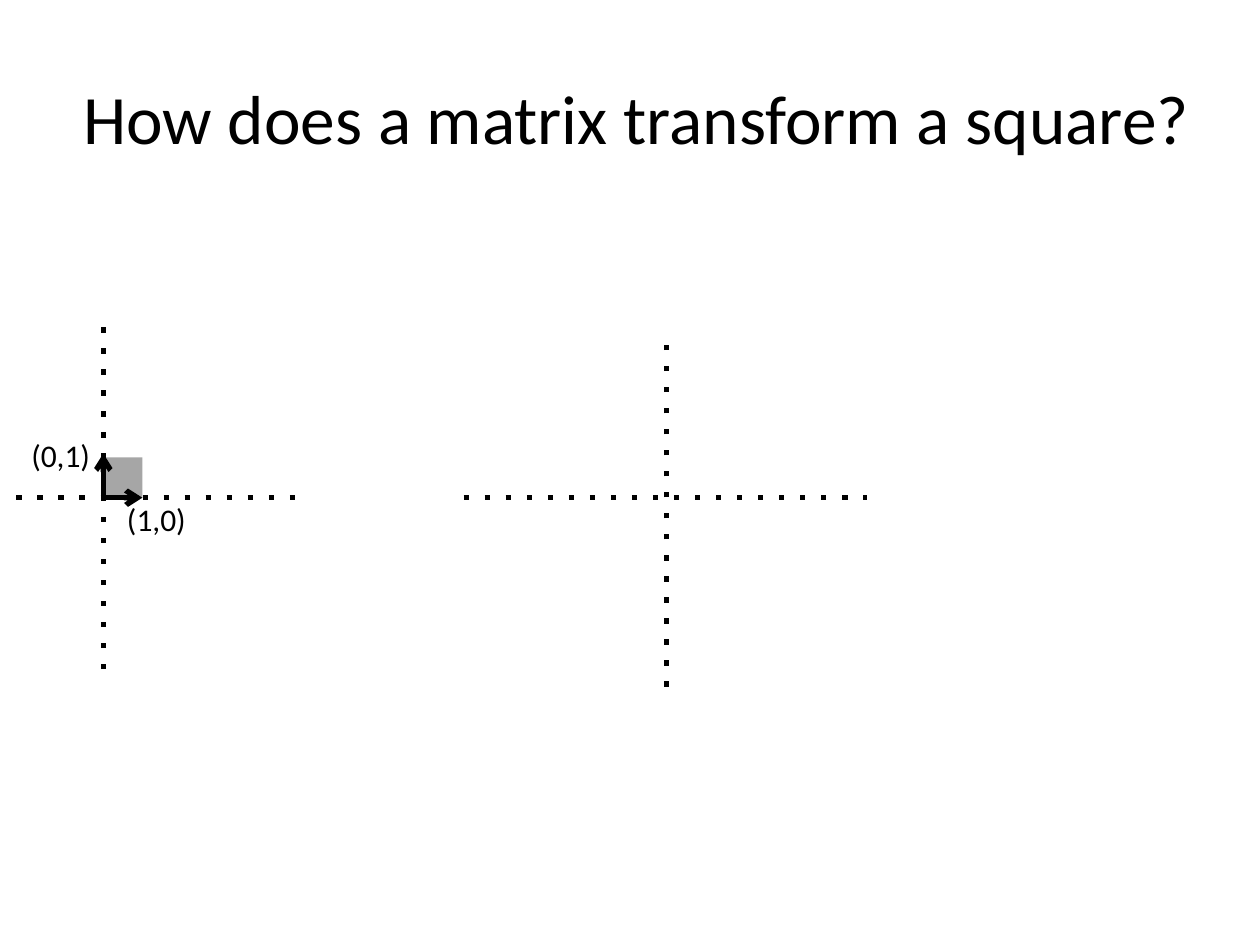
import dataclasses
import typing

import pptx
import pptx.dml.color
import pptx.enum.shapes
import pptx.enum.text
import pptx.oxml.ns
import pptx.util
from lxml import etree

Inches = pptx.util.Inches
RGB = pptx.dml.color.RGBColor


@dataclasses.dataclass(frozen=True)
class Theme:
    ink: RGB = RGB(0, 0, 0)
    square: RGB = RGB(0xA6, 0xA6, 0xA6)
    font: str = "Calibri"
    title_size: float = 39.6
    label_size: float = 18
    line_width: float = 3


@dataclasses.dataclass(frozen=True)
class Axes:
    x: float
    left: float
    right: float
    top: float
    bottom: float


@dataclasses.dataclass(frozen=True)
class Label:
    text: str
    left: float
    top: float


THEME = Theme()
ORIGIN_Y = 3.95
INPUT_AXES = Axes(0.82, 0.13, 2.45, 2.54, 5.31)
OUTPUT_AXES = Axes(5.29, 3.68, 6.88, 2.68, 5.45)
LABELS = (Label("(1,0)", 0.91, 3.92), Label("(0,1)", 0.15, 3.41))


def add_text(tf, text: str, size: float) -> None:
    p = tf.paragraphs[0]
    r = p.add_run()
    r.text = text
    for name, value in {"name": THEME.font, "size": pptx.util.Pt(size)}.items():
        setattr(r.font, name, value)
    r.font.color.rgb = THEME.ink


def add_line(s, start: typing.Tuple[float, float], end: typing.Tuple[float, float],
             tag: str, **attributes: str) -> None:
    line = s.shapes.add_connector(
        pptx.enum.shapes.MSO_CONNECTOR.STRAIGHT,
        *(Inches(v) for v in (*start, *end)))
    line.line.color.rgb = THEME.ink
    line.line.width = pptx.util.Pt(THEME.line_width)
    qn = pptx.oxml.ns.qn
    etree.SubElement(line.line._get_or_add_ln(), qn(tag), **attributes)
    etree.SubElement(line._element.spPr, qn("a:effectLst"))


def add_axes(s, axes: Axes) -> None:
    add_line(s, (axes.left, ORIGIN_Y), (axes.right, ORIGIN_Y), "a:prstDash", val="dot")
    add_line(s, (axes.x, axes.bottom), (axes.x, axes.top), "a:prstDash", val="dot")


def add_label(s, label: Label) -> None:
    box = s.shapes.add_textbox(
        *(Inches(v) for v in (label.left, label.top, 0.67, 0.4)))
    tf = box.text_frame
    tf.word_wrap = False
    tf.auto_size = pptx.enum.text.MSO_AUTO_SIZE.SHAPE_TO_FIT_TEXT
    add_text(tf, label.text, THEME.label_size)


def add_title(s, text: str) -> None:
    title = s.shapes.title
    frame = {"left": 0.1, "top": 0.3, "width": 9.9, "height": 1.25}
    for name, value in frame.items():
        setattr(title, name, Inches(value))
    tf = title.text_frame
    tf.vertical_anchor = pptx.enum.text.MSO_ANCHOR.MIDDLE
    add_text(tf, text, THEME.title_size)
    tf.paragraphs[0].alignment = pptx.enum.text.PP_ALIGN.CENTER


def add_unit_square(s, x: float) -> None:
    square = s.shapes.add_shape(
        pptx.enum.shapes.MSO_SHAPE.RECTANGLE,
        *(Inches(v) for v in (x, ORIGIN_Y - 0.32, 0.31, 0.32)))
    square.shadow.inherit = False
    square.fill.solid()
    square.fill.fore_color.rgb = THEME.square
    square.line.fill.background()


def main() -> None:
    prs = pptx.Presentation()
    prs.slide_width, prs.slide_height = Inches(10), Inches(7.5)
    s = prs.slides.add_slide(prs.slide_layouts[5])
    add_title(s, "How does a matrix transform a square?")
    add_axes(s, OUTPUT_AXES)
    for label in LABELS:
        add_label(s, label)
    x = INPUT_AXES.x
    add_unit_square(s, x)
    add_axes(s, INPUT_AXES)
    for tip in ((x + 0.31, ORIGIN_Y), (x, ORIGIN_Y - 0.35)):
        add_line(s, (x, ORIGIN_Y), tip, "a:tailEnd", type="arrow")
    prs.save("out.pptx")


if __name__ == "__main__":
    main()
